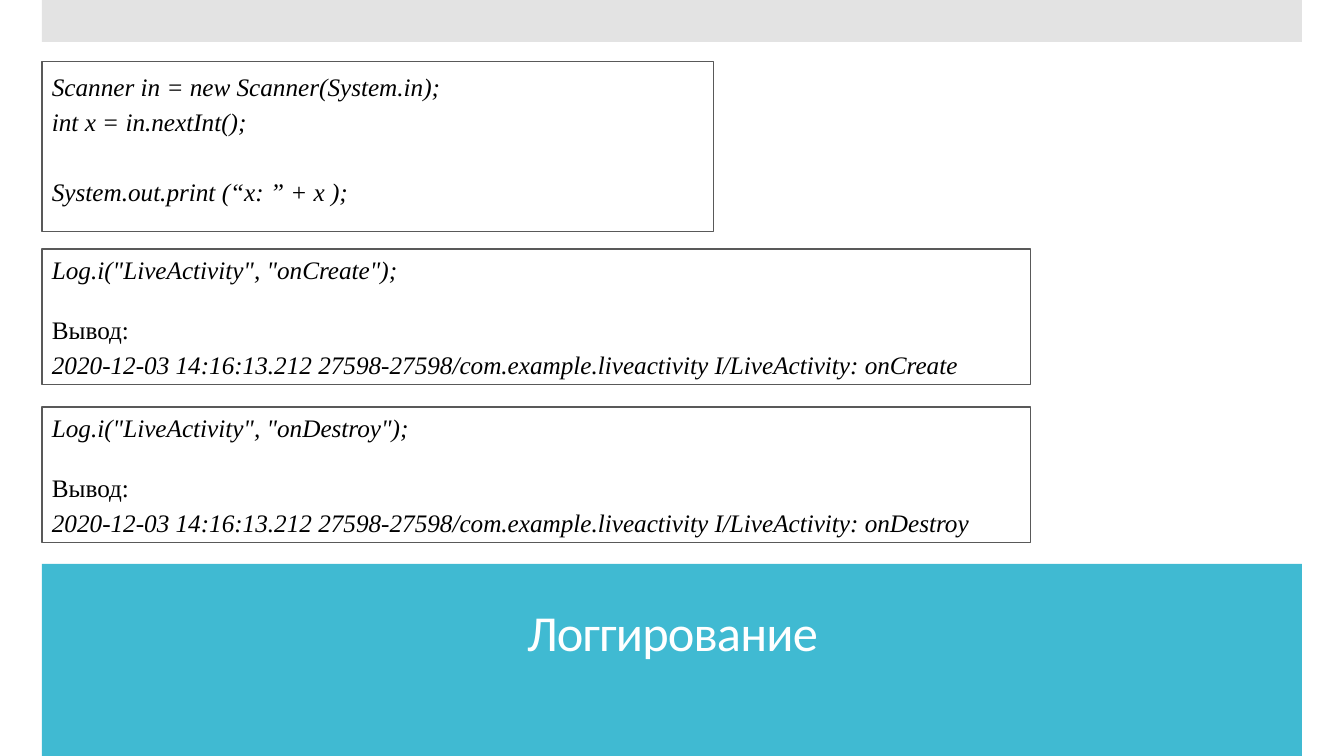
from pptx import Presentation, util as u
from pptx.dml.color import RGBColor
from pptx.enum import shapes, text

WHITE = RGBColor(0xFF, 0xFF, 0xFF)
BLACK = RGBColor(0, 0, 0)
GRAY = RGBColor(0xE3, 0xE3, 0xE3)
TEAL = RGBColor(0x40, 0xBA, 0xD2)
EDGE = RGBColor(0x59, 0x59, 0x59)

PX = 914400 / 100.8
LEFT, WIDE = 42, 1260
TITLE = "Логгирование"
INPUT = [
    ("Scanner in = new Scanner(System.in);", True, 1.15, 0),
    ("int x = in.nextInt();", True, 1.15, 0),
    ("System.out.print (“x: ” + x );", True, 1.15, 35),
]
STAMP = "2020-12-03 14:16:13.212 27598-27598/com.example.liveactivity I/LiveActivity: "


def log(event):
    return [
        (f'Log.i("LiveActivity", "{event}");', True, 1, 0),
        ("Вывод:", False, 1.15, 26),
        (STAMP + event, True, 1.15, 0),
    ]


CODE = [
    (62, 672, 170, INPUT),
    (249, 989, 136, log("onCreate")),
    (407, 989, 136, log("onDestroy")),
]
BANDS = [(0, 42, GRAY), (564, 192, TEAL)]


def px(n):
    return u.Emu(round(n * PX))


def box(slide, x, y, w, h, fill=None, line=None):
    rect = slide.shapes.add_shape(
        shapes.MSO_SHAPE.RECTANGLE, px(x), px(y), px(w), px(h))
    rect.shadow.inherit = False
    if fill is None:
        rect.fill.background()
    else:
        rect.fill.solid()
        rect.fill.fore_color.rgb = fill
    if line is None:
        rect.line.fill.background()
    else:
        rect.line.color.rgb = line
        rect.line.width = u.Pt(0.75)
    return rect


def write(shape, lines, size=18, font="Times New Roman", color=BLACK,
          align=text.PP_ALIGN.LEFT, anchor=text.MSO_ANCHOR.TOP, track=0):
    frame = shape.text_frame
    frame.word_wrap = True
    frame.vertical_anchor = anchor
    for i, (words, slant, pitch, gap) in enumerate(lines):
        para = frame.add_paragraph() if i else frame.paragraphs[0]
        para.alignment = align
        para.line_spacing = pitch
        para.space_before = px(gap)
        run = para.add_run()
        run.text = words
        run.font.size = u.Pt(size)
        run.font.name = font
        run.font.italic = slant
        run.font.color.rgb = color
        if track:
            run._r.get_or_add_rPr().set("spc", str(track))


def main():
    deck = Presentation()
    deck.slide_width, deck.slide_height = px(1344), px(756)
    slide = deck.slides.add_slide(deck.slide_layouts[6])
    for y, h, fill in BANDS:
        box(slide, LEFT, y, WIDE, h, fill=fill)
    title = slide.shapes.add_textbox(px(71), px(583), px(1203), px(104))
    write(title, [(TITLE, False, 0.9, 0)], size=36, font="Calibri",
          color=WHITE, align=text.PP_ALIGN.CENTER,
          anchor=text.MSO_ANCHOR.MIDDLE, track=-60)
    for y, w, h, lines in CODE:
        write(box(slide, LEFT, y, w, h, line=EDGE), lines)
    deck.save("out.pptx")


if __name__ == "__main__":
    main()
